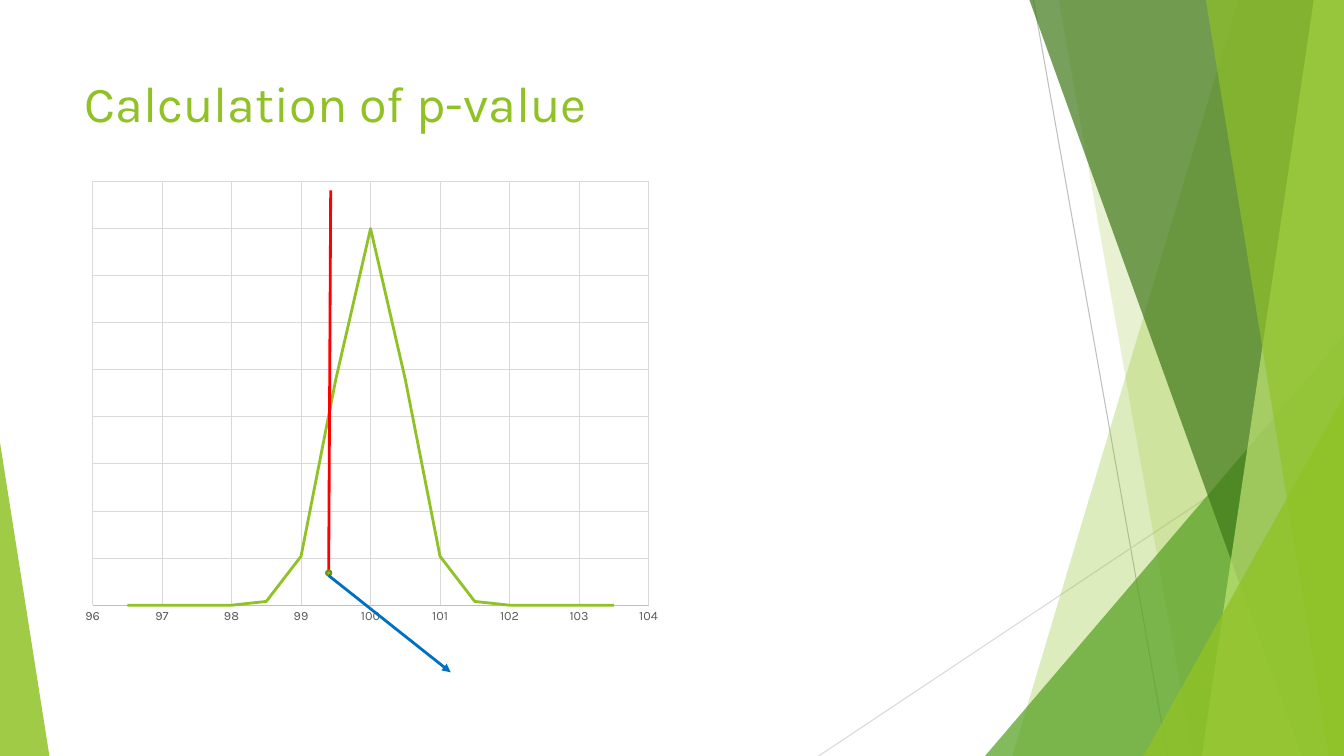
from lxml.etree import SubElement
from pptx import Presentation
from pptx.chart.data import XyChartData
from pptx.dml.color import RGBColor
from pptx.enum.chart import XL_CHART_TYPE, XL_MARKER_STYLE, XL_TICK_LABEL_POSITION, XL_TICK_MARK
from pptx.enum.shapes import MSO_CONNECTOR, MSO_SHAPE
from pptx.enum.text import MSO_ANCHOR
from pptx.oxml.ns import qn
from pptx.util import Inches, Pt

WIDTH, HEIGHT = 13.33, 7.5
FONT = "Karla"
GREEN = RGBColor(0x90, 0xC2, 0x26)
MID_GREEN = RGBColor(0x54, 0xA0, 0x21)
DARK_GREEN = RGBColor(0x3F, 0x78, 0x19)
PALE_GREEN = RGBColor(0xC0, 0xE4, 0x74)
OUTLINE_GREEN = RGBColor(0x6B, 0x90, 0x1C)
RED = RGBColor(0xFF, 0x00, 0x00)
BLUE = RGBColor(0x00, 0x70, 0xC0)
AXIS_GREY = RGBColor(0xBF, 0xBF, 0xBF)
GRID_GREY = RGBColor(0xD9, 0xD9, 0xD9)
LABEL_GREY = RGBColor(0x59, 0x59, 0x59)


def style_line(line, color, width):
    """Give a line its colour and its width in points."""
    line.color.rgb = color
    line.width = Pt(width)


def fill_plain(shape, color, opacity=100):
    """Fill a shape without outline or shadow, at an opacity in percent."""
    shape.shadow.inherit = False
    shape.line.fill.background()
    shape.fill.solid()
    shape.fill.fore_color.rgb = color
    if opacity < 100:
        tint = shape.fill._xPr.find(".//" + qn("a:srgbClr"))
        SubElement(tint, qn("a:alpha")).set("val", str(opacity * 1000))


def add_line(page, start, end, color, width, arrow=False):
    """Draw a straight line between two points, with an optional arrowhead."""
    ends = [Inches(length) for length in (*start, *end)]
    connector = page.shapes.add_connector(MSO_CONNECTOR.STRAIGHT, *ends)
    style_line(connector.line, color, width)
    if arrow:
        SubElement(connector.line._get_or_add_ln(), qn("a:tailEnd")).set("type", "triangle")
    SubElement(connector._element.spPr, qn("a:effectLst"))


def add_band(page, top_left, bottom_left, color, opacity):
    """Draw a slanted band from its left edge to the right side of the slide."""
    builder = page.shapes.build_freeform(Inches(top_left), 0, scale=1.0)
    corners = [(WIDTH, 0), (WIDTH, HEIGHT), (bottom_left, HEIGHT)]
    builder.add_line_segments([(Inches(x), Inches(y)) for x, y in corners], close=True)
    fill_plain(builder.convert_to_shape(), color, opacity)


def add_corner(page, left, width, height, apex, color, opacity):
    """Draw a triangle that stands on the bottom edge of the slide."""
    box = [Inches(length) for length in (left, HEIGHT - height, width, height)]
    triangle = page.shapes.add_shape(MSO_SHAPE.ISOSCELES_TRIANGLE, *box)
    triangle.adjustments[0] = apex
    fill_plain(triangle, color, opacity)


def add_backdrop(page):
    """Place the green facets along the sides of the slide."""
    add_line(page, (10.25, 0), (11.58, HEIGHT), AXIS_GREY, 0.75)
    add_line(page, (WIDTH, 4.03), (8.12, HEIGHT), GRID_GREY, 0.75)
    add_band(page, 12.28, 10.04, GREEN, 30)
    add_band(page, 10.5, 11.83, GREEN, 20)
    add_corner(page, 9.77, 3.56, 4.17, 1, MID_GREEN, 72)
    add_band(page, 10.21, 12.91, DARK_GREEN, 70)
    add_band(page, 13.03, 11.92, PALE_GREEN, 70)
    add_band(page, 11.96, 13.18, GREEN, 65)
    add_corner(page, 11.34, 1.99, 3.57, 1, GREEN, 80)
    add_corner(page, 0, 0.49, 3.11, 0, GREEN, 85)


def add_title(page, box, text):
    """Write the slide title at the top of its box."""
    frame = page.shapes.add_textbox(*map(Inches, box)).text_frame
    frame.word_wrap = True
    frame.vertical_anchor = MSO_ANCHOR.TOP
    frame.text = text
    font = frame.paragraphs[0].runs[0].font
    font.name, font.size = FONT, Pt(36)
    font.color.rgb = GREEN


def set_scale(axis, low, high, step):
    """Set the range and the light grid of an axis."""
    axis.minimum_scale, axis.maximum_scale, axis.major_unit = low, high, step
    axis.has_major_gridlines = True
    style_line(axis.major_gridlines.format.line, GRID_GREY, 0.75)
    axis.major_tick_mark = axis.minor_tick_mark = XL_TICK_MARK.NONE


def set_plot_area(chart, shares):
    """Fix the inner plot area as shares of the chart box."""
    area = chart._chartSpace.chart.plotArea
    layout = area.find(qn("c:layout"))
    if layout is None:
        layout = SubElement(area, qn("c:layout"))
        area.insert(0, layout)
    manual = SubElement(layout, qn("c:manualLayout"))
    settings = {"layoutTarget": "inner", "xMode": "edge", "yMode": "edge"}
    settings.update(zip("xywh", map(str, shares)))
    for name, value in settings.items():
        SubElement(manual, qn("c:" + name)).set("val", value)


def add_bell_curve(page, box):
    """Chart the bell curve around 100 in the given box."""
    tail = [0, 0, 0, 0, 1, 13, 60]
    data = XyChartData()
    points = data.add_series("Series 1")
    for index, height in enumerate(tail + [100] + tail[::-1]):
        points.add_data_point(96.5 + index / 2, height)
    chart = page.shapes.add_chart(
        XL_CHART_TYPE.XY_SCATTER_SMOOTH_NO_MARKERS, *map(Inches, box), data
    ).chart
    chart.has_legend = chart.has_title = False
    chart.font.name, chart.font.size = FONT, Pt(10)
    chart.plots[0].vary_by_categories = False
    set_plot_area(chart, (0.03, 0.02, 0.93, 0.92))

    curve = chart.plots[0].series[0]
    curve.smooth = True
    curve.marker.style = XL_MARKER_STYLE.NONE
    style_line(curve.format.line, GREEN, 2)

    set_scale(chart.category_axis, 96, 104, 1)
    style_line(chart.category_axis.format.line, AXIS_GREY, 0.75)
    font = chart.category_axis.tick_labels.font
    font.name, font.size = FONT, Pt(9)
    font.color.rgb = LABEL_GREY
    set_scale(chart.value_axis, 0, 112.5, 12.5)
    chart.value_axis.tick_label_position = XL_TICK_LABEL_POSITION.NONE
    chart.value_axis.format.line.fill.background()


def add_cutoff(page, x, y):
    """Mark the cutoff with a red line, a dot at its foot and a blue arrow."""
    size = 0.05
    add_line(page, (x + 0.02, 1.89), (x, y), RED, 2)
    box = [Inches(length) for length in (x - size / 2, y, size, size)]
    dot = page.shapes.add_shape(MSO_SHAPE.OVAL, *box)
    fill_plain(dot, GREEN)
    style_line(dot.line, OUTLINE_GREEN, 1.5)
    add_line(page, (x, y + size), (x + 1.21, y + 1.01), BLUE, 2, arrow=True)


def main():
    """Build the slide and save the deck."""
    deck = Presentation()
    deck.slide_width, deck.slide_height = Inches(WIDTH), Inches(HEIGHT)
    page = deck.slides.add_slide(deck.slide_layouts[6])
    add_backdrop(page)
    add_title(page, (0.74, 0.67, 9.4, 0.96), "Calculation of p-value")
    add_bell_curve(page, (0.74, 1.71, 5.93, 4.57))
    add_cutoff(page, 3.26, 5.66)
    deck.save("out.pptx")


if __name__ == "__main__":
    main()
